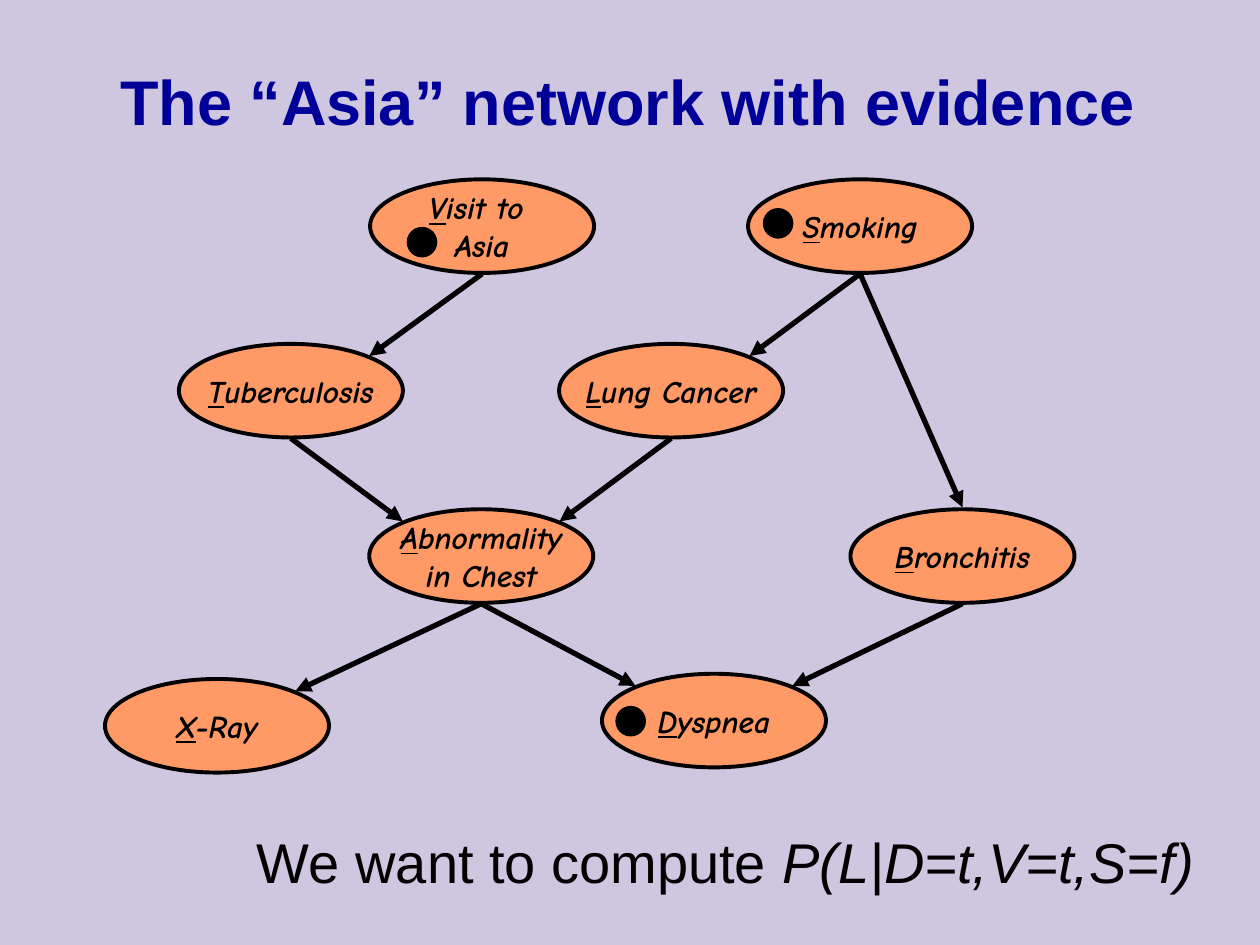
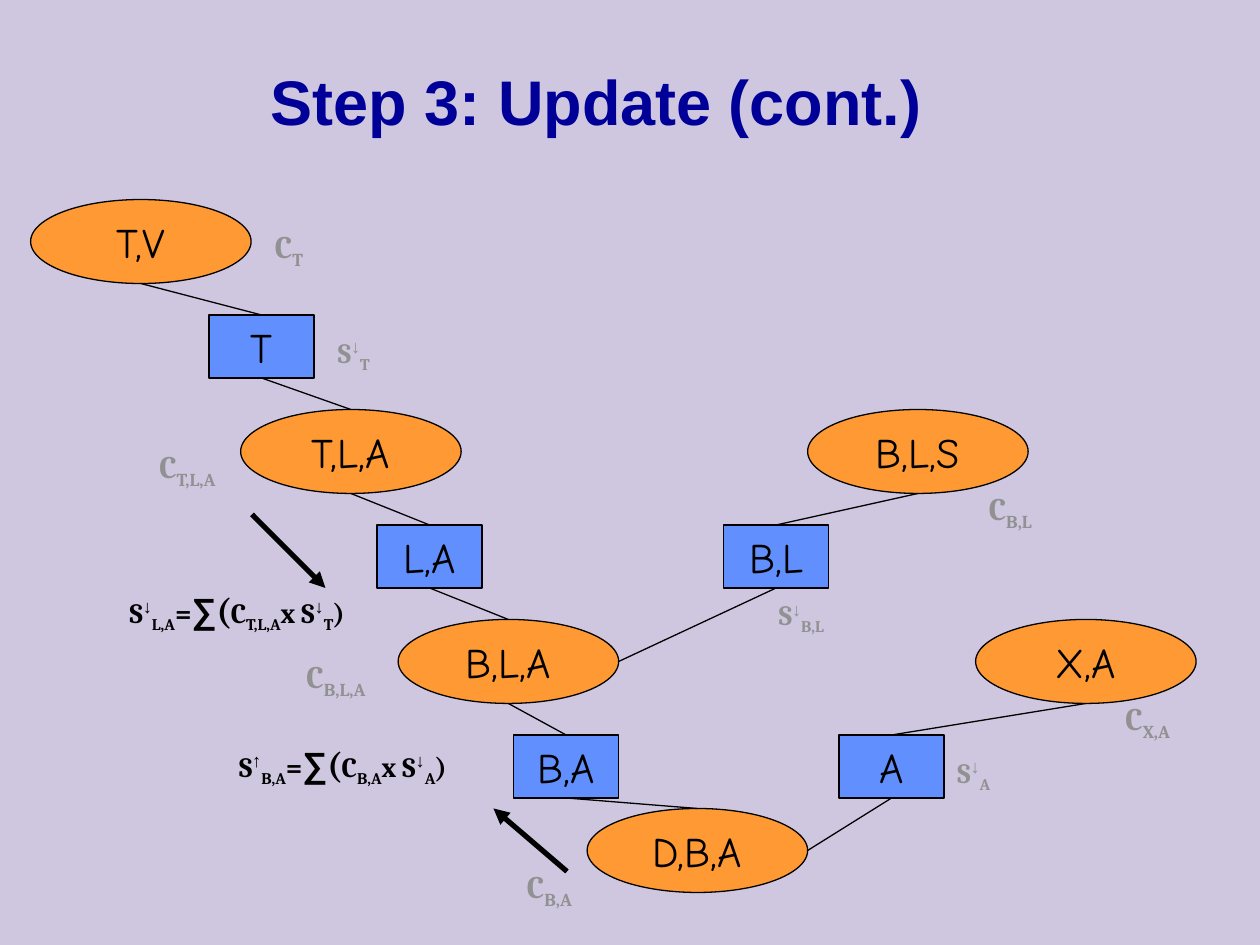
from lxml import etree
from pptx import Presentation
from pptx import util as u
from pptx.dml.color import RGBColor
from pptx.enum import shapes, text
from pptx.oxml import ns

Pt = u.Pt
OVAL, RECT = shapes.MSO_SHAPE.OVAL, shapes.MSO_SHAPE.RECTANGLE

BLACK = RGBColor(0x00, 0x00, 0x00)
NAVY = RGBColor(0x00, 0x00, 0x99)
GRAY = RGBColor(0x91, 0x91, 0x91)
LILAC = RGBColor(0xCE, 0xC7, 0xDF)
SALMON = RGBColor(0xFF, 0x99, 0x66)
ORANGE = RGBColor(0xFF, 0x99, 0x33)
BLUE = RGBColor(0x61, 0x8F, 0xFD)

TITLE = dict(name="Arial", size=Pt(36), bold=True)
GOAL = dict(name="Arial", size=Pt(32))
CAUSE = dict(name="Comic Neue", size=Pt(18), bold=True, italic=True)
CLUSTER = dict(name="Comic Neue", size=Pt(24))
POTENTIAL = dict(name="Cambria", size=Pt(18), bold=True)
MESSAGE = dict(name="Cambria", size=Pt(16), bold=True)
SUB = dict(baseline=-25000)
ARROW = dict(baseline=30000, name="Arial", size=Pt(18))
SUM = dict(name="Arial", size=Pt(20))
PAREN = dict(size=Pt(20))


def put_text(tf, lines, style, color=BLACK, align=None):
    """Write lines of (text, changes) runs; changes override the shared style."""
    for i, runs in enumerate(lines):
        p = tf.add_paragraph() if i else tf.paragraphs[0]
        p.alignment = align
        for words, changes in runs:
            r = p.add_run()
            r.text = words
            r.font.color.rgb = color
            for key, value in {**style, **changes}.items():
                if key == "baseline":
                    r._r.get_or_add_rPr().set(key, str(value))
                else:
                    setattr(r.font, key, value)


def add_shape(s, kind, box, fill, weight):
    """Add an outlined shape whose text stays centred and unwrapped."""
    sp = s.shapes.add_shape(kind, *map(Pt, box))
    sp.shadow.inherit = False
    sp.fill.solid()
    sp.fill.fore_color.rgb = fill
    sp.line.color.rgb = BLACK
    sp.line.width = Pt(weight)
    sp.text_frame.word_wrap = False
    sp.text_frame.vertical_anchor = text.MSO_ANCHOR.MIDDLE
    return sp


prs = Presentation()
prs.slide_width, prs.slide_height = Pt(720), Pt(540)
background = prs.slide_master.background.fill
background.solid()
background.fore_color.rgb = LILAC

for title, left in (("The “Asia” network with evidence", 27.5),
                    ("Step 3: Update (cont.)", 9.5)):
    s = prs.slides.add_slide(prs.slide_layouts[5])
    sp = s.shapes.title
    sp.left, sp.top, sp.width, sp.height = map(Pt, (left, 12.25, 662.5, 90))
    sp.text_frame.auto_size = text.MSO_AUTO_SIZE.NONE
    sp.text_frame.vertical_anchor = text.MSO_ANCHOR.MIDDLE
    put_text(sp.text_frame, [[(title, {})]], TITLE, NAVY, text.PP_ALIGN.CENTER)
network, update = prs.slides
links = []  # slide, start, end, weight, has arrowhead

# Slide 1: causal network
NODE_W, NODE_H = 128, 53.5
nodes = {
    "V": (211.5, 102.5, ["Visit to ", "Asia"]),
    "S": (427.5, 102.5, ["Smoking"]),
    "L": (319.5, 196.5, ["Lung Cancer"]),
    "T": (102.25, 196.5, ["Tuberculosis"]),
    "A": (211, 291, ["Abnormality", "in Chest"]),
    "B": (486, 291, ["Bronchitis"]),
    "X": (60, 388, ["X-Ray"]),
    "D": (344, 385, ["Dyspnea"]),
}
for left, top, (first, *rest) in nodes.values():
    sp = add_shape(network, OVAL, (left, top, NODE_W, NODE_H), SALMON, 2.25)
    lines = [[(first[0], dict(underline=True)), (first[1:], {})]]
    lines += [[(line, {})] for line in rest]
    put_text(sp.text_frame, lines, CAUSE, align=text.PP_ALIGN.CENTER)

# Where an arrow meets its target, as fractions of the ellipse's box
ENTRY = {"left": (0.15, 0.13), "right": (0.85, 0.13), "top": (0.5, -0.02)}
for cause, effect, side in (
        ("V", "T", "right"), ("T", "A", "left"), ("L", "A", "right"),
        ("A", "X", "right"), ("A", "D", "left"), ("B", "D", "right"),
        ("S", "L", "right"), ("S", "B", "top")):
    x1, y1, _ = nodes[cause]
    x2, y2, _ = nodes[effect]
    fx, fy = ENTRY[side]
    links.append((network, (x1 + NODE_W / 2, y1 + NODE_H + 0.5),
                  (x2 + fx * NODE_W, y2 + fy * NODE_H), 3, True))

for left, top in ((436.25, 119.25), (232.75, 130), (352, 403.75)):
    add_shape(network, OVAL, (left, top, 16.75, 16.75), BLACK, 0.75)

tf = network.shapes.add_textbox(*map(Pt, (139.75, 469.5, 551, 46))).text_frame
tf.word_wrap = False
tf.auto_size = text.MSO_AUTO_SIZE.SHAPE_TO_FIT_TEXT
put_text(tf, [[("We want to compute ", {}),
               ("P(L|D=t,V=t,S=f)", dict(italic=True))]], GOAL)

# Slide 2: cluster tree
CLUSTER_SIZE, SEPARATOR_SIZE = (126, 48), (60, 36)
clusters = {"D,B,A": (335.5, 462), "B,L,S": (461.5, 234), "X,A": (557.5, 354),
            "T,V": (17.5, 114), "B,L,A": (227.5, 354), "T,L,A": (137.5, 234)}
separators = {"B,A": (293.5, 420), "B,L": (413.5, 300), "L,A": (215.5, 300),
              "A": (479.5, 420), "T": (119.5, 180)}
boxes = {}
for kind, group, size, fill in ((OVAL, clusters, CLUSTER_SIZE, ORANGE),
                                (RECT, separators, SEPARATOR_SIZE, BLUE)):
    for name, corner in group.items():
        boxes[name] = corner + size
        sp = add_shape(update, kind, boxes[name], fill, 0.75)
        put_text(sp.text_frame, [[(name, {})]], CLUSTER,
                 align=text.PP_ALIGN.CENTER)

for upper, lower, side in (
        ("T,V", "T", "top"), ("T", "T,L,A", "top"), ("T,L,A", "L,A", "top"),
        ("L,A", "B,L,A", "top"), ("B,L,S", "B,L", "top"),
        ("B,L", "B,L,A", "right"), ("B,L,A", "B,A", "top"),
        ("B,A", "D,B,A", "top"), ("X,A", "A", "top"), ("A", "D,B,A", "right")):
    x1, y1, w1, h1 = boxes[upper]
    x2, y2, w2, h2 = boxes[lower]
    end = (x2 + w2, y2 + h2 / 2) if side == "right" else (x2 + w2 / 2, y2)
    links.append((update, (x1 + w1 / 2, y1 + h1), end, 0.75, False))
links.append((update, (144, 294), (186, 336), 3, True))
links.append((update, (324, 498), (282, 462), 3, True))

labels = []  # left, top, width, runs, style, colour
for left, top, width, scope in (
        (150, 126, 192, "T"), (84, 252, 102, "T,L,A"), (168, 372, 96, "B,L,A"),
        (558, 276, 72, "B,L"), (294, 492, 60, "B,A"), (636, 396, 54, "X,A")):
    labels.append((left, top, width, [("C", {}), (scope, SUB)],
                   POTENTIAL, GRAY))
for left, top, width, scope in ((438, 336, 150, "B,L"), (186, 186, 120, "T"),
                                (540, 426, 150, "A")):
    labels.append((left, top, width, [("S", {}), ("↓", ARROW), (scope, SUB)],
                   MESSAGE, GRAY))
for left, top, arrow, result, factor, source in (
        (129.5, 420.5, "↑", "B,A", "B,A", "A"),
        (67, 332.5, "↓", "L,A", "T,L,A", "T")):
    labels.append((left, top, 168, [
        ("S", {}), (arrow, ARROW), (result, SUB), ("=", {}), ("∑", SUM),
        ("(", PAREN), ("C", {}), (factor, SUB), ("x S", {}), ("↓", ARROW),
        (source, SUB), (")", {})], MESSAGE, BLACK))
for left, top, width, runs, style, color in labels:
    tf = update.shapes.add_textbox(*map(Pt, (left, top, width, 31.5))).text_frame
    tf.word_wrap = True
    put_text(tf, [runs], style, color)

for s, start, end, weight, has_arrow in links:
    line = s.shapes.add_connector(shapes.MSO_CONNECTOR.STRAIGHT,
                                  *map(Pt, start + end))
    line.line.color.rgb = BLACK
    line.line.width = Pt(weight)
    if has_arrow:
        etree.SubElement(line.line._get_or_add_ln(), ns.qn("a:tailEnd"),
                         type="triangle")
    etree.SubElement(line._element.spPr, ns.qn("a:effectLst"))

prs.save("out.pptx")
